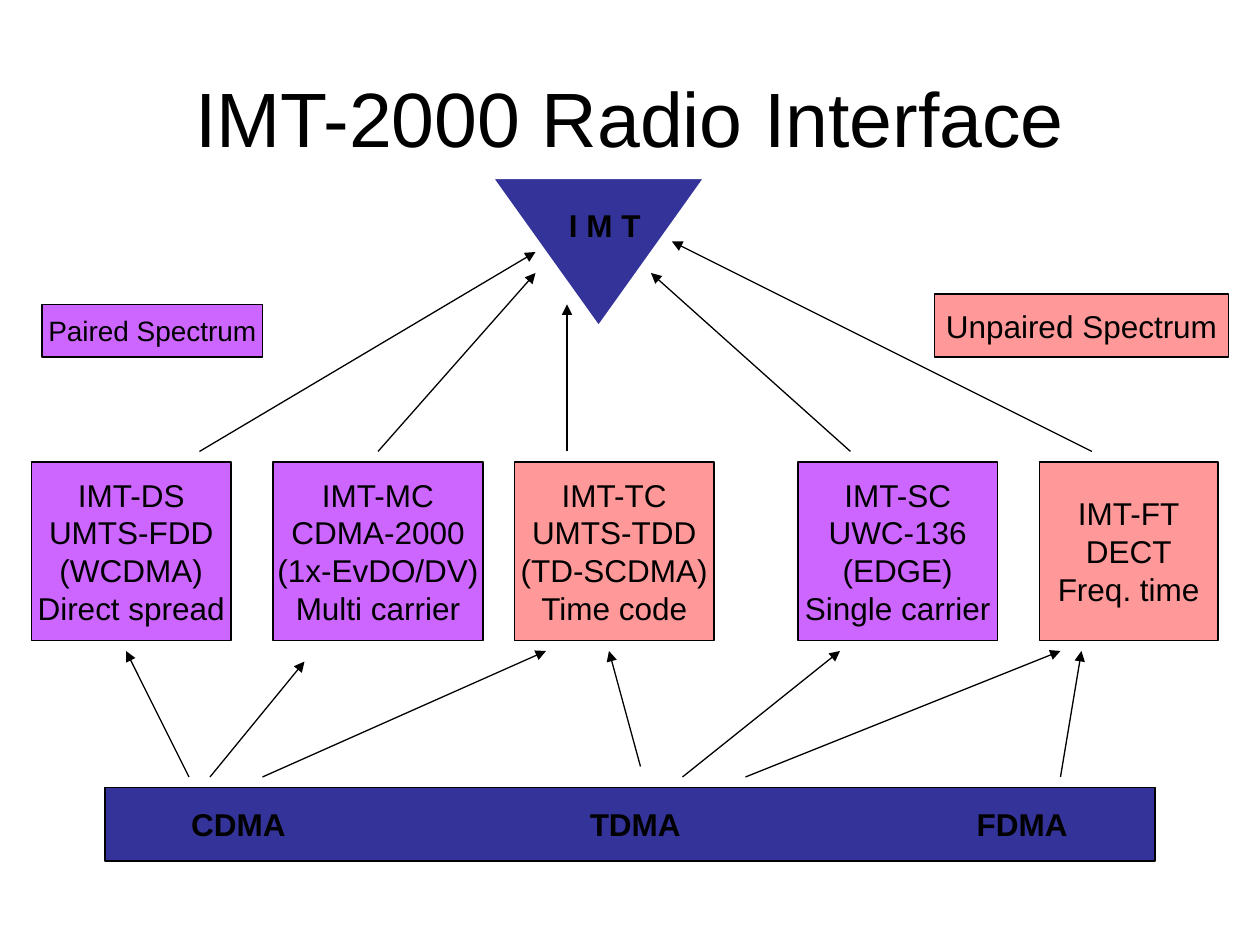
from dataclasses import dataclass

from lxml import etree
from pptx import Presentation
from pptx.dml.color import RGBColor
from pptx.enum.shapes import MSO_CONNECTOR, MSO_SHAPE
from pptx.enum.text import MSO_ANCHOR, PP_ALIGN
from pptx.oxml.ns import qn
from pptx.util import Inches, Pt

RECT, TRI = MSO_SHAPE.RECTANGLE, MSO_SHAPE.ISOSCELES_TRIANGLE
LINE = MSO_CONNECTOR.STRAIGHT
MID, TOP = MSO_ANCHOR.MIDDLE, MSO_ANCHOR.TOP
LEFT, CENTER = PP_ALIGN.LEFT, PP_ALIGN.CENTER

BLACK = RGBColor(0x00, 0x00, 0x00)
WHITE = RGBColor(0xFF, 0xFF, 0xFF)
VIOLET = RGBColor(0xCC, 0x66, 0xFF)
PINK = RGBColor(0xFF, 0x99, 0x99)
NAVY = RGBColor(0x33, 0x33, 0x99)

# The slide is a grid of 120 columns by 90 rows
WIDTH, HEIGHT = Inches(10), Inches(7.5)
CELL = WIDTH // 120


@dataclass
class Box:
    col: float
    row: float
    cols: float
    rows: float
    fill: RGBColor
    text: str = ""
    size: int = 18


@dataclass
class Arrow:
    col: float
    row: float
    to_col: float
    to_row: float


MODES = [
    Box(3, 44, 19, 17, VIOLET, "IMT-DS\nUMTS-FDD\n(WCDMA)\nDirect spread"),
    Box(26, 44, 20, 17, VIOLET, "IMT-MC\nCDMA-2000\n(1x-EvDO/DV)\nMulti carrier"),
    Box(49, 44, 19, 17, PINK, "IMT-TC\nUMTS-TDD\n(TD-SCDMA)\nTime code"),
    Box(76, 44, 19, 17, VIOLET, "IMT-SC\nUWC-136\n(EDGE)\nSingle carrier"),
    Box(99, 44, 17, 17, PINK, "IMT-FT\nDECT\nFreq. time"),
]
LEGEND = [
    Box(4, 29, 21, 5, VIOLET, "Paired Spectrum", 16),
    Box(89, 28, 28, 6, PINK, "Unpaired Spectrum"),
]
BAR = Box(10, 75, 100, 7, NAVY)
ACCESS = {"CDMA": 0.96, "TDMA": 4.11, "FDMA": 7.18}  # name: tab in inches
PEAK = Box(47, 17, 20, 14, NAVY)
ARROWS = [
    # Access methods to modes
    Arrow(18, 74, 12, 62),
    Arrow(20, 74, 29, 63),
    Arrow(25, 74, 52, 62),
    Arrow(61, 73, 58, 62),
    Arrow(65, 74, 80, 62),
    Arrow(101, 74, 103, 62),
    Arrow(71, 74, 101, 62),
    # Modes to IMT
    Arrow(19, 43, 51, 24),
    Arrow(36, 43, 51, 26),
    Arrow(54, 43, 54, 29),
    Arrow(81, 43, 62, 26),
    Arrow(104, 43, 64, 23),
]


def grid(*units: float) -> list[int]:
    return [round(unit * CELL) for unit in units]


def write(shape, text: str, size: int, bold=False, align=CENTER,
          anchor=MID, wrap=False) -> None:
    frame = shape.text_frame
    frame.text = text
    frame.word_wrap = wrap
    frame.vertical_anchor = anchor
    for para in frame.paragraphs:
        para.alignment = align
        for run in para.runs:
            run.font.name = "Arial"
            run.font.size = Pt(size)
            run.font.bold = bold
            run.font.color.rgb = BLACK


def draw_box(slide, box: Box, kind=RECT, edge=BLACK):
    shape = slide.shapes.add_shape(
        kind, *grid(box.col, box.row, box.cols, box.rows))
    shape.shadow.inherit = False
    shape.fill.solid()
    shape.fill.fore_color.rgb = box.fill
    shape.line.color.rgb = edge
    shape.line.width = Pt(0.75)
    if box.text:
        write(shape, box.text, box.size)
    return shape


def draw_bar(slide) -> None:
    shape = draw_box(slide, BAR)
    names = "".join(f"\t{name}" for name in ACCESS)
    write(shape, names, BAR.size, bold=True, align=LEFT, wrap=True)
    props = shape.text_frame.paragraphs[0]._p.get_or_add_pPr()
    tabs = etree.SubElement(props, qn("a:tabLst"))
    for stop in ACCESS.values():
        etree.SubElement(tabs, qn("a:tab"), pos=str(Inches(stop)), algn="ctr")


def draw_arrow(slide, arrow: Arrow) -> None:
    line = slide.shapes.add_connector(
        LINE, *grid(arrow.col, arrow.row, arrow.to_col, arrow.to_row))
    line.line.color.rgb = BLACK
    line.line.width = Pt(0.75)
    etree.SubElement(line.line._get_or_add_ln(), qn("a:tailEnd"), type="triangle")
    etree.SubElement(line._element.spPr, qn("a:effectLst"))


def main() -> None:
    deck = Presentation()
    deck.slide_width, deck.slide_height = WIDTH, HEIGHT
    slide = deck.slides.add_slide(deck.slide_layouts[6])

    # Radio modes and the access bar below them
    for box in MODES:
        draw_box(slide, box)
    draw_bar(slide)

    # Title
    title = slide.shapes.add_textbox(*grid(6, 3.6, 108, 15))
    write(title, "IMT-2000 Radio Interface", 44, wrap=True)

    # IMT triangle, pointing down, with its label
    peak = draw_box(slide, PEAK, TRI, WHITE)
    peak.rotation = 180
    label = slide.shapes.add_textbox(*grid(53, 19, 9.2, 4.8))
    write(label, "I M T", 18, bold=True, align=LEFT, anchor=TOP)

    # Arrows and legend
    for arrow in ARROWS:
        draw_arrow(slide, arrow)
    for box in LEGEND:
        draw_box(slide, box)

    deck.save("out.pptx")


if __name__ == "__main__":
    main()
